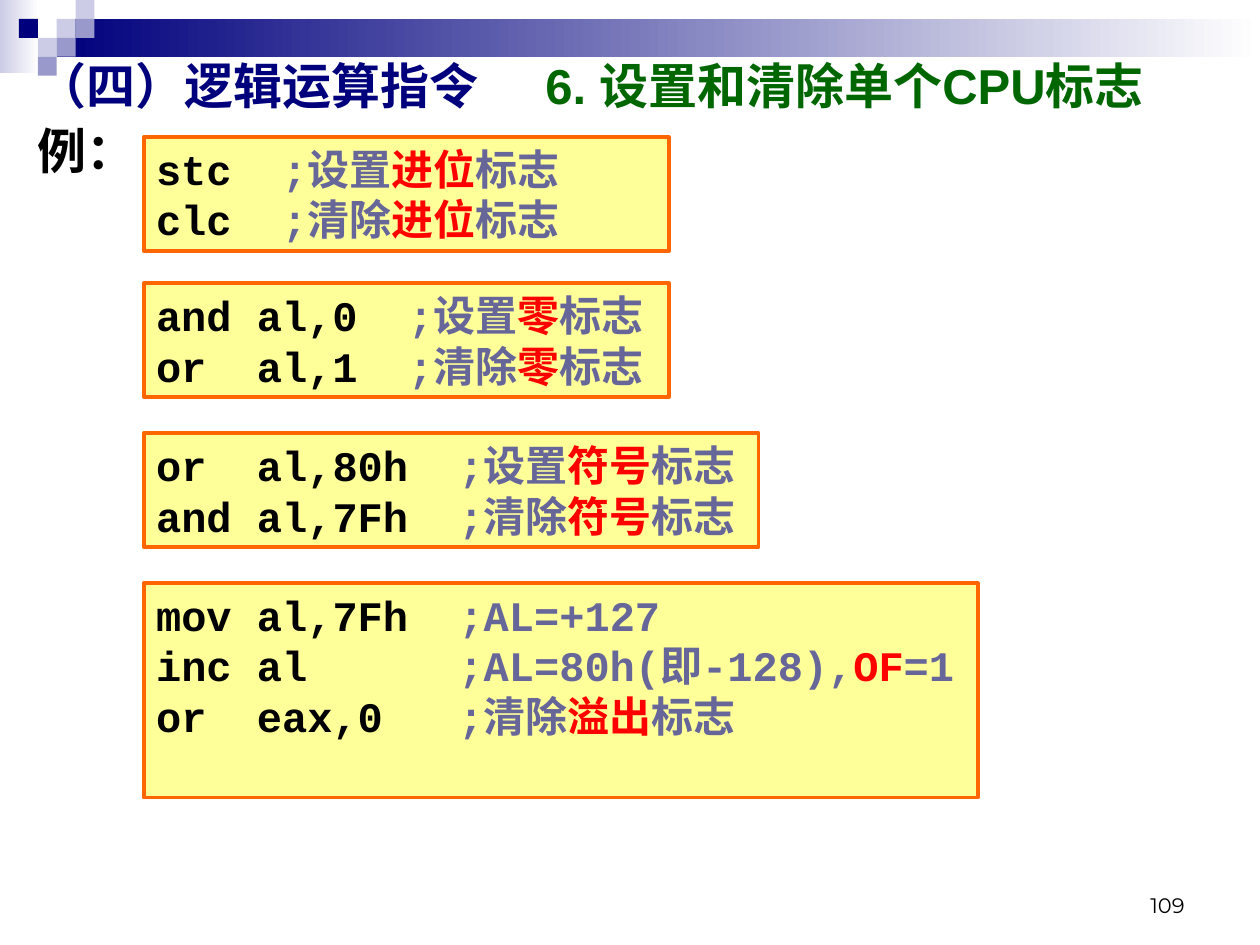
from lxml.etree import SubElement
from pptx import Presentation
from pptx.dml.color import RGBColor
from pptx.enum.shapes import MSO_SHAPE as Shape
from pptx.enum.text import MSO_ANCHOR as Anchor, MSO_AUTO_SIZE as Fit, PP_ALIGN as Align
from pptx.oxml.ns import qn
from pptx.util import Inches, Pt

NAVY = RGBColor(0x00, 0x00, 0x7D)
PALE = RGBColor(0xCC, 0xCC, 0xE6)
LILAC = RGBColor(0x99, 0x99, 0xCC)
WHITE = RGBColor(0xFF, 0xFF, 0xFF)
BLACK = RGBColor(0x00, 0x00, 0x00)
GREEN = RGBColor(0x00, 0x66, 0x00)
SLATE = RGBColor(0x66, 0x66, 0x99)
RED = RGBColor(0xFF, 0x00, 0x00)
YELLOW = RGBColor(0xFF, 0xFF, 0x99)
ORANGE = RGBColor(0xFF, 0x66, 0x00)

TITLE = [("（四）逻辑运算指令\t", NAVY), ("6. 设置和清除单个CPU标志", GREEN)]
LABEL = [("例：", BLACK)]
NUMBER = [("109", BLACK)]

# Each code line: instruction, comment, flag in red, rest of comment
BOXES = [  # top, width, height, lines
    (1.09, 4.17, 0.9, [("stc\t", ";设置", "进位", "标志"),
                       ("clc\t", ";清除", "进位", "标志")]),
    (2.25, 4.17, 0.9, [("and al,0\t", ";设置", "零", "标志"),
                       ("or  al,1\t", ";清除", "零", "标志")]),
    (3.44, 4.88, 0.9, [("or  al,80h  ", ";设置", "符号", "标志"),
                       ("and al,7Fh  ", ";清除", "符号", "标志")]),
    (4.63, 6.62, 1.7, [("mov al,7Fh  ", ";AL=+127"),
                       ("inc al\t  ", ";AL=80h(即-128),", "OF", "=1"),
                       ("or  eax,0\t  ", ";清除", "溢出", "标志")]),
]
CODE_INKS = (BLACK, SLATE, RED, SLATE)
CODE_LEFT = 1.14
CODE_TABS = range(1, 8)

BANDS = [  # left, top, width, height, start colour; each fades to white
    (0, 0, 0.31, 0.58, PALE),
    (0.45, 0.15, 9.55, 0.3, NAVY),
]
TILE = 0.15
TILES = [  # column, row, colour
    (3, 1, PALE), (4, 0, PALE), (4, 1, LILAC), (2, 2, PALE),
    (1, 1, NAVY), (3, 2, LILAC), (2, 3, LILAC),
]


def add_rect(slide, left, top, width, height):
    """Add a rectangle without outline or shadow."""
    rect = slide.shapes.add_shape(Shape.RECTANGLE, Inches(left), Inches(top),
                                  Inches(width), Inches(height))
    rect.shadow.inherit = False
    rect.line.fill.background()
    return rect


def paint(shape, ink):
    shape.fill.solid()
    shape.fill.fore_color.rgb = ink


def fade(shape, ink):
    """Fill from ink on the left to white on the right."""
    shape.fill.gradient()
    shape.fill.gradient_angle = 0
    for stop, tone, place in zip(shape.fill.gradient_stops, (ink, WHITE), (0, 1)):
        stop.color.rgb = tone
        stop.position = place


def set_tabs(para, stops):
    tabs = SubElement(para._p.get_or_add_pPr(), qn("a:tabLst"))
    for stop in stops:
        SubElement(tabs, qn("a:tab"), pos=str(Inches(stop)), algn="l")


def write(para, runs, font, size, bold=True, align=Align.LEFT, tabs=()):
    para.alignment = align
    if tabs:
        set_tabs(para, tabs)
    para.font.name, para.font.size, para.font.bold = font, Pt(size), bold
    for text, ink in runs:
        run = para.add_run()
        run.text = text
        run.font.color.rgb = ink


def add_text(slide, left, top, width, height, anchor, runs, font, size, **style):
    box = slide.shapes.add_textbox(Inches(left), Inches(top),
                                   Inches(width), Inches(height))
    frame = box.text_frame
    frame.word_wrap = True
    frame.vertical_anchor = anchor
    write(frame.paragraphs[0], runs, font, size, **style)


def add_code(slide, top, width, height, lines):
    box = add_rect(slide, CODE_LEFT, top, width, height)
    paint(box, YELLOW)
    box.line.color.rgb = ORANGE
    box.line.width = Pt(2.25)
    frame = box.text_frame
    frame.word_wrap = True
    frame.auto_size = Fit.SHAPE_TO_FIT_TEXT
    frame.vertical_anchor = Anchor.TOP
    for i, line in enumerate(lines):
        para = frame.add_paragraph() if i else frame.paragraphs[0]
        write(para, zip(line, CODE_INKS), "Courier New", 24, tabs=CODE_TABS)


def main():
    deck = Presentation()
    deck.slide_width, deck.slide_height = Inches(10), Inches(7.5)
    slide = deck.slides.add_slide(deck.slide_layouts[6])

    for *place, ink in BANDS:
        fade(add_rect(slide, *place), ink)
    for col, row, ink in TILES:
        paint(add_rect(slide, col * TILE, row * TILE, TILE, TILE), ink)

    add_text(slide, 7.17, 6.83, 2.33, 0.5, Anchor.BOTTOM, NUMBER,
             "Montserrat", 12, bold=False, align=Align.RIGHT)
    add_text(slide, 0.2, 0.91, 9.61, 0.63, Anchor.TOP, LABEL, "Times New Roman", 28)
    add_text(slide, 0.2, 0.36, 9.61, 0.63, Anchor.MIDDLE, TITLE, "Arial", 28,
             tabs=[4.03])
    for box in BOXES:
        add_code(slide, *box)

    deck.save("out.pptx")


if __name__ == "__main__":
    main()
